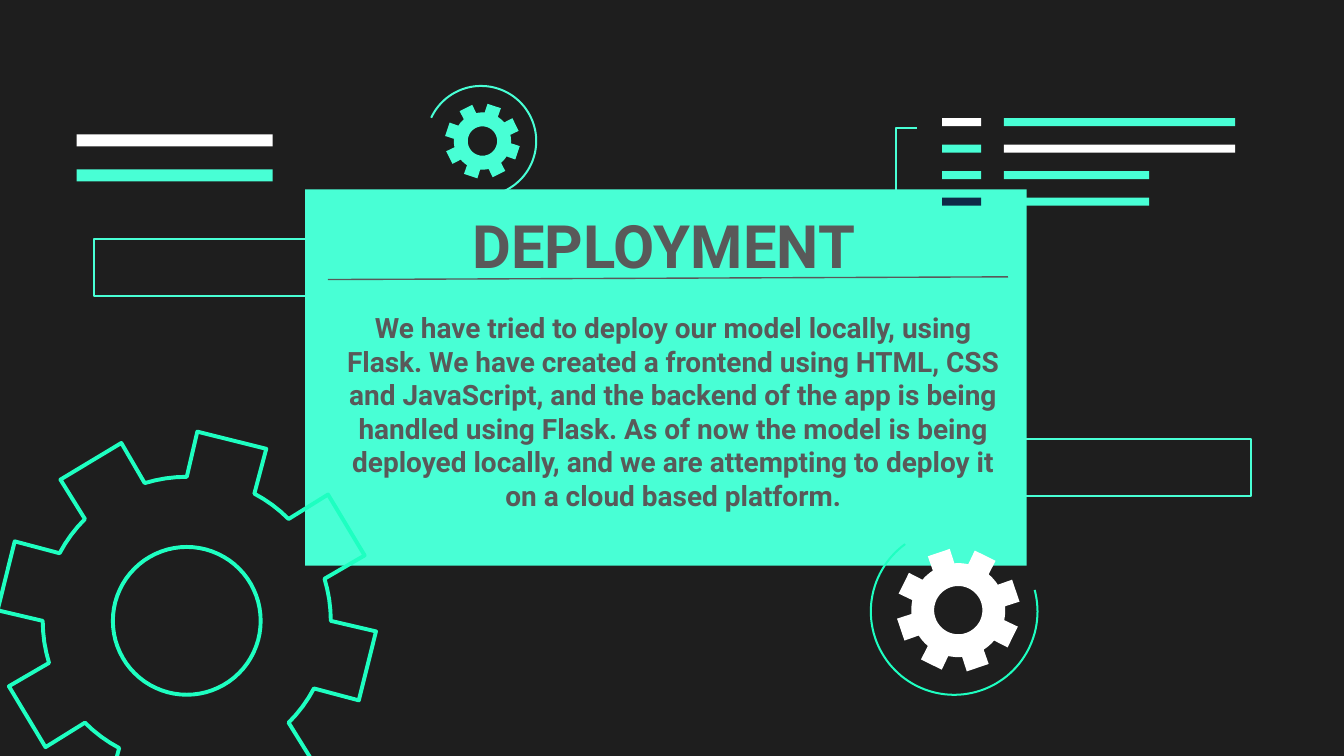
from math import cos, radians, sin

from lxml.etree import SubElement
from pptx import Presentation
from pptx.dml.color import RGBColor
from pptx.enum.shapes import MSO_CONNECTOR, MSO_SHAPE
from pptx.enum.text import MSO_ANCHOR, MSO_AUTO_SIZE, PP_ALIGN
from pptx.oxml.ns import qn
from pptx.util import Inches, Pt

BACKGROUND = RGBColor(0x1E, 0x1E, 0x1E)
TEAL = RGBColor(0x48, 0xFF, 0xD5)
BRIGHT_TEAL = RGBColor(0x1E, 0xFF, 0xC1)
WHITE = RGBColor(0xFF, 0xFF, 0xFF)
NAVY = RGBColor(0x0E, 0x2A, 0x47)
GRAY = RGBColor(0x59, 0x59, 0x59)

presentation = Presentation()
presentation.slide_width = Inches(10)
presentation.slide_height = Inches(10) * 9 // 16
slide = presentation.slides.add_slide(presentation.slide_layouts[0])
slide.background.fill.solid()
slide.background.fill.fore_color.rgb = BACKGROUND


def paint(shape, fill=None, line=None, width=1.09):
    """Give a shape a fill, a line or both, and no shadow."""
    shape.shadow.inherit = False
    if fill is None:
        shape.fill.background()
    else:
        shape.fill.solid()
        shape.fill.fore_color.rgb = fill
    if line is None:
        shape.line.fill.background()
    else:
        shape.line.color.rgb = line
        shape.line.width = Pt(width)


def polar(x, y, radius, angle):
    """Point at a clockwise angle from the top of a circle."""
    return (Inches(x + radius * sin(radians(angle))),
            Inches(y - radius * cos(radians(angle))))


# Central panel and plain bars: left, top, width, height, fill
bars = [
    (2.27, 1.41, 5.37, 2.8, TEAL),
    (0.57, 1.0, 1.46, 0.09, WHITE),
    (0.57, 1.26, 1.46, 0.09, TEAL),
]

# Code-like rows: marker colour, bar width, bar colour
code_rows = [
    (WHITE, 1.72, TEAL),
    (TEAL, 1.72, WHITE),
    (TEAL, 1.08, TEAL),
    (NAVY, 1.08, TEAL),
]
for row, (marker_color, bar_width, bar_color) in enumerate(code_rows):
    top = 0.88 + row * 0.59 / 3
    bars.append((7.01, top, 0.29, 0.06, marker_color))
    bars.append((7.47, top, bar_width, 0.06, bar_color))

for left, top, width, height, color in bars:
    bar = slide.shapes.add_shape(
        MSO_SHAPE.RECTANGLE, Inches(left), Inches(top), Inches(width), Inches(height))
    paint(bar, fill=color)

# Outlined boxes beside the panel
for left, top in [(0.7, 1.78), (7.2, 3.27)]:
    box = slide.shapes.add_shape(
        MSO_SHAPE.RECTANGLE, Inches(left), Inches(top), Inches(2.11), Inches(0.42))
    paint(box, line=TEAL)

# Open lines: bracket and the arcs around the small gears
bracket = [(Inches(x), Inches(y))
           for x, y in [(6.83, 1.56), (6.67, 1.56), (6.67, 0.95), (6.82, 0.95)]]
teal_arc = [polar(3.58, 1.05, 0.41, angle) for angle in range(-65, 185, 3)]
white_arc = [polar(7.1, 4.55, 0.62, angle) for angle in range(75, 325, 3)]
for points, color in [(bracket, TEAL), (teal_arc, TEAL), (white_arc, BRIGHT_TEAL)]:
    builder = slide.shapes.build_freeform(*points[0])
    builder.add_line_segments(points[1:], close=False)
    paint(builder.convert_to_shape(), line=color)

# Gears with eight teeth: centre, radius, angle of the first tooth, colours
gears = [
    (1.39, 4.62, 1.41, 14, None, BRIGHT_TEAL),
    (7.13, 4.54, 0.46, 26.3, WHITE, None),
    (3.59, 1.05, 0.28, 18.5, TEAL, None),
]
for x, y, radius, first_tooth, fill, line in gears:
    root = radius * 0.76
    rim = []
    for tooth in range(8):
        middle = first_tooth + 45 * tooth
        rim.append(polar(x, y, root, middle - 14))
        rim.append(polar(x, y, radius, middle - 10.8))
        rim.append(polar(x, y, radius, middle + 10.8))
        rim += [polar(x, y, root, middle + 14 + step * 17 / 4) for step in range(4)]
    hole = [polar(x, y, radius * 0.39, -angle) for angle in range(0, 360, 5)]
    builder = slide.shapes.build_freeform(*rim[0])
    builder.add_line_segments(rim[1:])
    builder.move_to(*hole[0])
    builder.add_line_segments(hole[1:])
    paint(builder.convert_to_shape(), fill, line, 2.1)

# Rule under the title
rule = slide.shapes.add_connector(
    MSO_CONNECTOR.STRAIGHT, Inches(2.44), Inches(2.08), Inches(7.5), Inches(2.06))
rule.line.color.rgb = GRAY
rule.line.width = Pt(0.75)
SubElement(rule.element.spPr, qn("a:effectLst"))

# Title and body text, brought in front of the panel
body_text = (
    "We have tried to deploy our model locally, using Flask. We have created a "
    "frontend using HTML, CSS and JavaScript, and the backend of the app is being "
    "handled using Flask. As of now the model is being deployed locally, and we are "
    "attempting to deploy it on a cloud based platform."
)
texts = [
    (slide.shapes.title, "DEPLOYMENT", 32, 2.41, 1.45, 0.67),
    (slide.placeholders[1], body_text, 15, 2.48, 2.21, 1.75),
]
for placeholder, text, size, left, top, height in texts:
    placeholder.left, placeholder.top = Inches(left), Inches(top)
    placeholder.width, placeholder.height = Inches(5.06), Inches(height)
    frame = placeholder.text_frame
    frame.text = text
    frame.word_wrap = True
    frame.auto_size = MSO_AUTO_SIZE.NONE
    frame.vertical_anchor = MSO_ANCHOR.TOP
    frame.margin_left = frame.margin_right = Inches(0.1)
    frame.margin_top = frame.margin_bottom = Inches(0.1)
    paragraph = frame.paragraphs[0]
    paragraph.alignment = PP_ALIGN.CENTER
    paragraph.space_before = Pt(0)
    paragraph.font.name = "Roboto"
    paragraph.font.size = Pt(size)
    paragraph.font.bold = True
    paragraph.font.color.rgb = GRAY
    placeholder.element.getparent().append(placeholder.element)

presentation.save("out.pptx")
